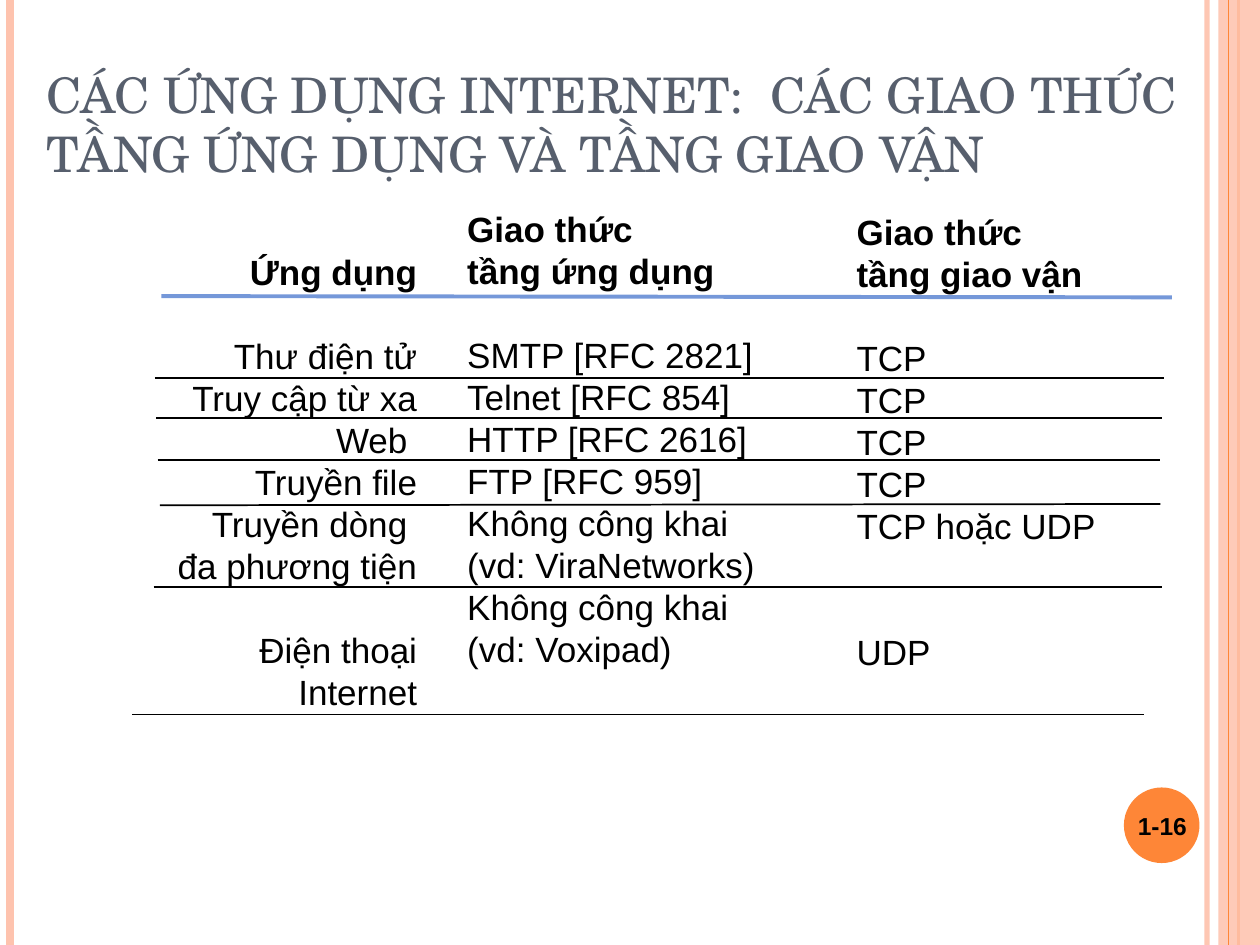
import pptx
import pptx.dml.color
import pptx.enum.shapes
import pptx.enum.text
import pptx.oxml.ns
import pptx.util
from lxml import etree

RGBColor = pptx.dml.color.RGBColor
PEACH = RGBColor(0xFE, 0xC3, 0xAE)
ORANGE = RGBColor(0xFE, 0x86, 0x37)
SLATE = RGBColor(0x57, 0x5F, 0x6D)
BLUE = RGBColor(0x75, 0x98, 0xD9)
BLACK = RGBColor(0, 0, 0)
Pt = pptx.util.Pt
ALIGN = pptx.enum.text.PP_ALIGN
ANCHOR = pptx.enum.text.MSO_ANCHOR
SHAPE = pptx.enum.shapes.MSO_SHAPE
qn = pptx.oxml.ns.qn

deck = pptx.Presentation()
deck.slide_width = pptx.util.Inches(10)
deck.slide_height = pptx.util.Inches(7.5)
# Grid of 100 columns by 75 rows
COL = deck.slide_width / 100
ROW = deck.slide_height / 75
LINE_PITCH = 24

slide = deck.slides.add_slide(deck.slide_layouts[5])
shapes = slide.shapes


def grid(left, top, width, height):
    """Turn columns and rows into the slide's lengths."""
    return round(left * COL), round(top * ROW), round(width * COL), round(height * ROW)


def add_rule(start, end, color, weight, opacity=100):
    rule = shapes.add_connector(pptx.enum.shapes.MSO_CONNECTOR.STRAIGHT,
                                *grid(*start, *end))
    rule.line.color.rgb = color
    rule.line.width = Pt(weight)
    etree.SubElement(rule._element.spPr, qn("a:effectLst"))
    if opacity < 100:
        tint = rule._element.spPr.find(".//" + qn("a:srgbClr"))
        etree.SubElement(tint, qn("a:alpha"), val=str(opacity * 1000))


# Side decoration
add_rule((95.8, 0), (95.8, 75), PEACH, 3, opacity=93)
add_rule((0.8, 0), (0.8, 75), PEACH, 4.5)
add_rule((98.3, 0), (98.3, 75), ORANGE, 1.5)
side_band = shapes.add_shape(SHAPE.RECTANGLE, *grid(96.7, 0, 3.3, 75))
page_disc = shapes.add_shape(SHAPE.OVAL, *grid(89.2, 62.5, 6, 6))
for decoration, color in ((side_band, PEACH), (page_disc, ORANGE)):
    decoration.shadow.inherit = False
    decoration.fill.solid()
    decoration.fill.fore_color.rgb = color
    decoration.line.fill.background()
band_tint = side_band._element.spPr.find(".//" + qn("a:srgbClr"))
etree.SubElement(band_tint, qn("a:alpha"), val="87000")
add_rule((97.5, 0), (97.5, 75), ORANGE, 0.75)

# Title
title = shapes.title
title.left, title.top, title.width, title.height = grid(2.7, 2.5, 95.7, 12.5)
title.text_frame.text = ("CÁC ỨNG DỤNG INTERNET:  CÁC GIAO THỨC "
                         "TẦNG ỨNG DỤNG VÀ TẦNG GIAO VẬN")
title.text_frame.vertical_anchor = ANCHOR.BOTTOM
title.text_frame.auto_size = pptx.enum.text.MSO_AUTO_SIZE.NONE
heading = title.text_frame.paragraphs[0]
heading.alignment = ALIGN.LEFT
heading.font.name = "TeX Gyre Schola"
heading.font.size = Pt(28)
heading.font.color.rgb = SLATE

# Page number
page_number = shapes.add_textbox(*grid(88.9, 62.7, 6.7, 5.7)).text_frame
page_number.text = "1-16"
page_number.word_wrap = True
page_number.vertical_anchor = ANCHOR.MIDDLE
number = page_number.paragraphs[0]
number.alignment = ALIGN.CENTER
number.font.name = "Arial"
number.font.size = Pt(14)
number.font.bold = True
number.font.color.rgb = BLACK

# Columns: place, alignment, wrapping, header lines, body lines,
# and the body lines that leave empty lines above them
protocol_columns = [
    ((9.4, 19.4, 24.7, 34.4), ALIGN.RIGHT, False,
     ["Ứng dụng"],
     ["Thư điện tử", "Truy cập từ xa", "Web ", "Truyền file",
      "Truyền dòng ", "đa phương tiện", "Điện thoại Internet"],
     {0: 1, 6: 1}),
    ((36.1, 16, 25.6, 37.7), ALIGN.LEFT, True,
     ["Giao thức", "tầng ứng dụng"],
     ["SMTP [RFC 2821]", "Telnet [RFC 854]", "HTTP [RFC 2616]",
      "FTP [RFC 959]", "Không công khai", "(vd: ViraNetworks)",
      "Không công khai", "(vd: Voxipad)"],
     {0: 1}),
    ((67, 16.2, 28.7, 37.7), ALIGN.LEFT, True,
     ["Giao thức", "tầng giao vận"],
     ["TCP", "TCP", "TCP", "TCP", "TCP hoặc UDP", "UDP"],
     {0: 1, 5: 2}),
]
for place, alignment, wraps, header, body, gaps in protocol_columns:
    column = shapes.add_textbox(*grid(*place)).text_frame
    column.word_wrap = wraps
    column.text = "\n".join(header + body)
    for index, entry in enumerate(column.paragraphs, start=-len(header)):
        entry.alignment = alignment
        entry.line_spacing = Pt(LINE_PITCH)
        if index in gaps:
            entry.space_before = Pt(gaps[index] * LINE_PITCH)
        entry.font.name = "Arial"
        entry.font.size = Pt(20)
        entry.font.bold = index < 0
        entry.font.color.rgb = BLACK

# Rules under the header and the rows
add_rule((12.8, 23.5), (93, 23.6), BLUE, 2.25)
row_rules = [
    ((12.3, 30), (92.4, 30)),
    ((12.4, 33.2), (92.2, 33.2)),
    ((12.5, 36.5), (92.1, 36.5)),
    ((12.7, 40.1), (92.1, 40)),
    ((12.2, 46.6), (92.2, 46.6)),
    ((10.5, 56.7), (90.8, 56.7)),
]
for start, end in row_rules:
    add_rule(start, end, BLACK, 1)

deck.save("out.pptx")
